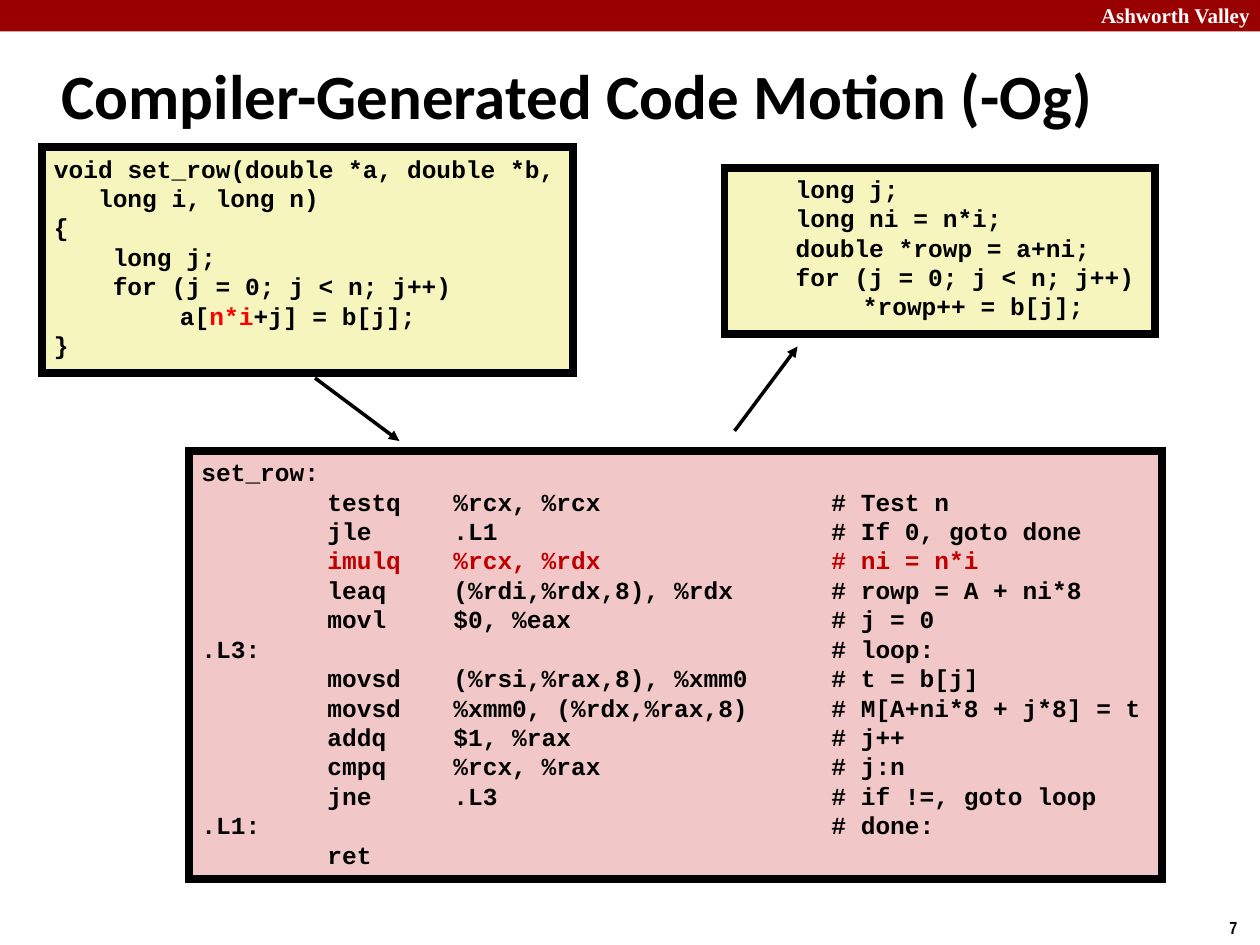
from dataclasses import dataclass
from math import floor

from lxml import etree
from pptx import Presentation
from pptx.dml.color import RGBColor as RGB
from pptx.enum.shapes import MSO_CONNECTOR as CONN, MSO_SHAPE as SHAPE
from pptx.enum.text import MSO_ANCHOR as ANCHOR, PP_ALIGN as ALIGN
from pptx.oxml.ns import qn
from pptx.util import Inches, Pt


@dataclass(frozen=True)
class Theme:
    band: str = "990000"
    white: str = "FFFFFF"
    black: str = "000000"
    c_fill: str = "F6F5BD"
    asm_fill: str = "F1C7C7"
    c_mark: str = "FF0000"
    asm_mark: str = "C00000"
    title_size: float = 36
    code_size: float = 14
    header_size: float = 12
    number_size: float = 10
    code_leading: float = 16.8
    border: float = 4.5
    arrow: float = 2


@dataclass(frozen=True)
class Label:
    text: str
    box: tuple
    font: str
    size: float
    color: str


@dataclass(frozen=True)
class Line:
    """One code line: runs of (text, color) and an indent in characters."""
    runs: tuple
    indent: int = 0


@dataclass(frozen=True)
class CodeBox:
    box: tuple
    fill: str
    lines: tuple


@dataclass(frozen=True)
class Arrow:
    start: tuple
    end: tuple


T = Theme()
CHAR = T.code_size * 0.6 / 72  # width of a monospaced character, inches
TAB = str(Inches(1))  # distance between tab stops
COLUMNS = (0, 1, 2, 5)  # label, instruction, operands, comment, in tabs


def add_run(p, text: str, font: str, size: float, color: str) -> None:
    r = p.add_run()
    r.text = text
    for key, value in {"name": font, "size": Pt(size), "bold": True}.items():
        setattr(r.font, key, value)
    r.font.color.rgb = RGB.from_string(color)


def add_label(s, label: Label) -> None:
    tf = s.shapes.add_textbox(*map(Inches, label.box)).text_frame
    tf.word_wrap = True
    tf.vertical_anchor = ANCHOR.MIDDLE
    add_run(tf.paragraphs[0], label.text, label.font, label.size, label.color)


def add_rect(s, box: tuple, fill: str):
    sp = s.shapes.add_shape(SHAPE.RECTANGLE, *map(Inches, box))
    sp.shadow.inherit = False
    sp.fill.solid()
    sp.fill.fore_color.rgb = RGB.from_string(fill)
    sp.line.fill.background()
    return sp


def add_code(s, code: CodeBox) -> None:
    sp = add_rect(s, code.box, code.fill)
    sp.line.color.rgb = RGB.from_string(T.black)
    sp.line.width = Pt(T.border)
    etree.SubElement(sp.line._get_or_add_ln(), qn("a:miter"), lim="800000")
    tf = sp.text_frame
    tf.word_wrap = True
    tf.vertical_anchor = ANCHOR.TOP
    for i, line in enumerate(code.lines):
        p = tf.add_paragraph() if i else tf.paragraphs[0]
        p.alignment = ALIGN.LEFT
        p.line_spacing = Pt(T.code_leading)
        layout = {"marL": str(Inches(line.indent * CHAR)), "indent": "0", "defTabSz": TAB}
        for key, value in layout.items():
            p._p.get_or_add_pPr().set(key, value)
        for text, color in line.runs:
            add_run(p, text, "Courier New", T.code_size, color)


def add_arrow(s, arrow: Arrow) -> None:
    cn = s.shapes.add_connector(CONN.STRAIGHT, *map(Inches, arrow.start + arrow.end))
    cn.line.color.rgb = RGB.from_string(T.black)
    cn.line.width = Pt(T.arrow)
    etree.SubElement(cn.line._get_or_add_ln(), qn("a:tailEnd"), type="triangle")
    etree.SubElement(cn._element.spPr, qn("a:effectLst"))


def plain(text: str, indent: int = 0) -> Line:
    return Line(((text, T.black),), indent)


def asm(label: str, op: str = "", args: str = "", note: str = "", color: str = T.black) -> Line:
    """Tab each part to its column, counting the stops the text has passed."""
    text, end = "", 0.0
    for column, part in zip(COLUMNS, (label, op, args, note)):
        if part:
            text += "\t" * (column - floor(end)) + part
            end = column + len(part) * CHAR
    return Line(((text, color),))


# Content
LABELS = (
    Label("Ashworth Valley", (8.64, -0.03, 1.43, 0.3), "Times New Roman", T.header_size, T.white),
    Label("7", (9.66, 7.23, 0.34, 0.27), "Arial Narrow", T.number_size, T.black),
    Label("Compiler-Generated Code Motion (-Og)", (0.39, 0.33, 8.83, 0.83),
          "Calibri", T.title_size, T.black),
)

ASSEMBLY = CodeBox((1.5, 3.58, 7.72, 3.4), T.asm_fill, (
    asm("set_row:"),
    asm("", "testq", "%rcx, %rcx", "# Test n"),
    asm("", "jle", ".L1", "# If 0, goto done"),
    asm("", "imulq", "%rcx, %rdx", "# ni = n*i", T.asm_mark),
    asm("", "leaq", "(%rdi,%rdx,8), %rdx", "# rowp = A + ni*8"),
    asm("", "movl", "$0, %eax", "# j = 0"),
    asm(".L3:", note="# loop:"),
    asm("", "movsd", "(%rsi,%rax,8), %xmm0", "# t = b[j]"),
    asm("", "movsd", "%xmm0, (%rdx,%rax,8)", "# M[A+ni*8 + j*8] = t"),
    asm("", "addq", "$1, %rax", "# j++"),
    asm("", "cmpq", "%rcx, %rax", "# j:n"),
    asm("", "jne", ".L3", "# if !=, goto loop"),
    asm(".L1:", note="# done:"),
    asm("", "ret"),
))

OPTIMIZED = CodeBox((5.75, 1.33, 3.42, 1.32), T.c_fill, (
    plain("long j;", 4),
    plain("long ni = n*i;", 4),
    plain("double *rowp = a+ni;", 4),
    plain("for (j = 0; j < n; j++)", 4),
    plain("\t*rowp++ = b[j];"),
))

SOURCE = CodeBox((0.33, 1.17, 4.22, 1.79), T.c_fill, (
    plain("void set_row(double *a, double *b,"),
    plain("long i, long n)", 3),
    plain("{"),
    plain("long j;", 4),
    plain("for (j = 0; j < n; j++)", 4),
    Line((("\ta[", T.black), ("n*i", T.c_mark), ("+j] = b[j];", T.black))),
    plain("}"),
))

ARROWS = (Arrow((2.5, 3), (3.17, 3.5)), Arrow((5.83, 3.42), (6.33, 2.75)))

# Slide, with tab stops one inch apart
prs = Presentation()
prs.slide_width, prs.slide_height = Inches(10), Inches(7.5)
for level in prs.element.iter(qn("a:lvl1pPr")):
    level.set("defTabSz", TAB)
s = prs.slides.add_slide(prs.slide_layouts[6])

# Header band and labels
add_rect(s, (0, 0, 10, 0.25), T.band)
for label in LABELS:
    add_label(s, label)

# Code boxes and the arrows between them
add_code(s, ASSEMBLY)
for arrow in ARROWS:
    add_arrow(s, arrow)
for code in (OPTIMIZED, SOURCE):
    add_code(s, code)

prs.save("out.pptx")
